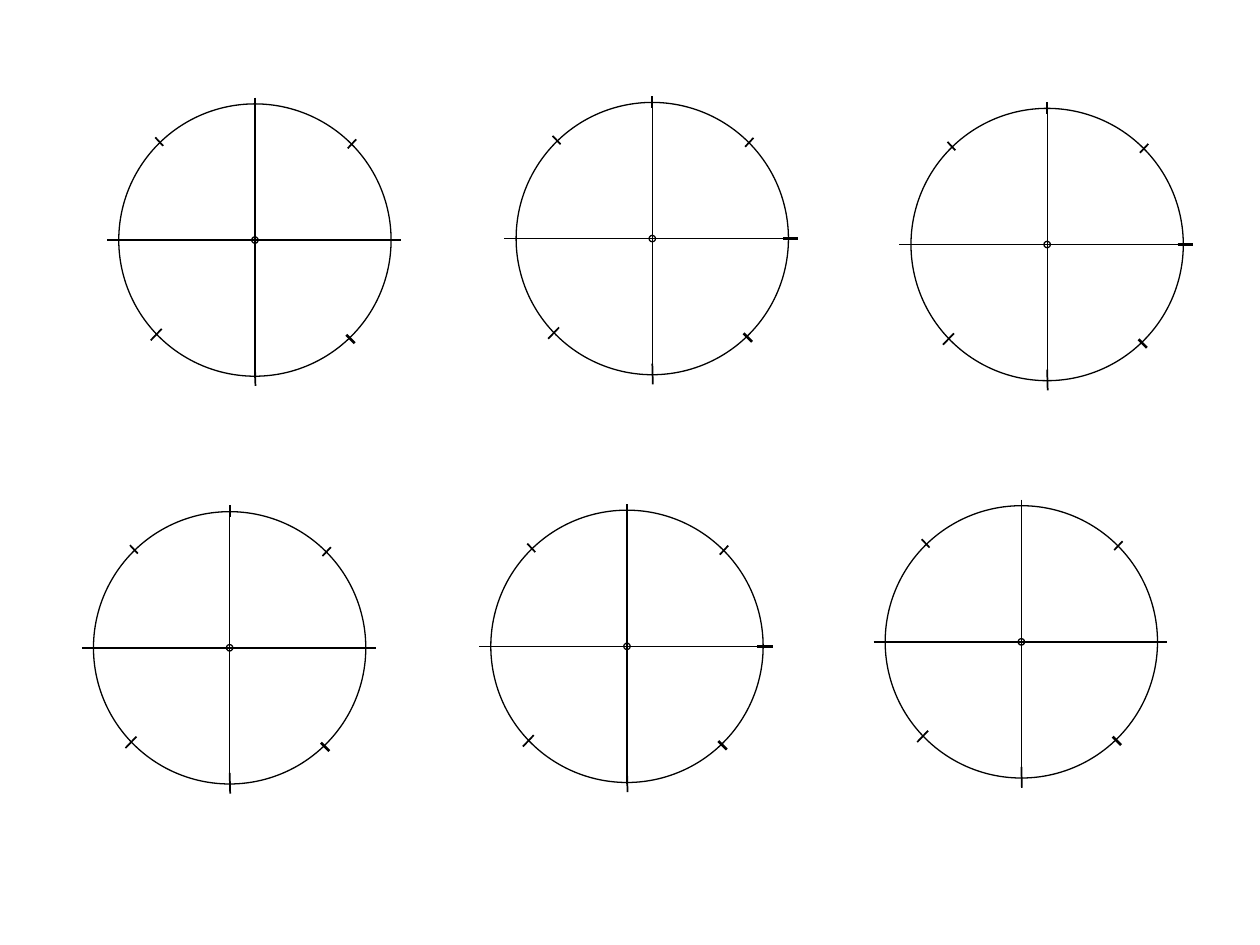
from dataclasses import dataclass
from typing import Any, Optional

from lxml.etree import SubElement
from pptx import Presentation
from pptx.dml.color import RGBColor
from pptx.enum.shapes import MSO_CONNECTOR as Conn, MSO_SHAPE as Form
from pptx.oxml.ns import qn
from pptx.util import Cm, Pt

BLACK = RGBColor(0x00, 0x00, 0x00)
PALE = RGBColor(0xF8, 0xF8, 0xF8)


@dataclass(frozen=True)
class Stroke:
    """A line in cm, measured from the centre of its dial."""
    x1: float
    y1: float
    x2: float
    y2: float
    width: float = 1


@dataclass(frozen=True)
class Disc:
    """A circle around the centre of its dial, in cm."""
    size: float
    fill: Optional[RGBColor] = None


# Dial parts, from back to front
DISCS = [Disc(5.49), Disc(0.13, PALE)]
STROKES = [
    Stroke(0, -2.87, 0, -2.64),              # top
    Stroke(1.87, -1.85, 2.04, -2.03),        # upper right
    Stroke(2.63, 0, 2.94, 0, 1.5),           # right
    Stroke(-1.85, -1.9, -2.01, -2.07),       # upper left
    Stroke(-2.98, 0, -2.66, 0),              # left
    Stroke(1.84, 1.91, 2.01, 2.08, 1.5),     # lower right
    Stroke(0, 2.52, 0.01, 2.94),             # bottom
    Stroke(-1.88, 1.79, -2.1, 2.02),         # lower left
    Stroke(0, -2.76, 0, 2.78, 0.75),         # upright axis
    Stroke(-2.74, 0, 2.75, 0, 0.75),         # level axis
]

# Dial centres in cm, row by row
DIALS = [
    (5.14, 4.84), (13.15, 4.81), (21.11, 4.93),
    (4.63, 13.06), (12.64, 13.03), (20.59, 12.94),
]


def ink(line: Any, width: float) -> None:
    line.color.rgb = BLACK
    for name, value in {"width": Pt(width)}.items():
        setattr(line, name, value)


def add_disc(group: Any, x: float, y: float, disc: Disc) -> None:
    half = disc.size / 2
    ring = group.shapes.add_shape(
        Form.OVAL, Cm(x - half), Cm(y - half), Cm(disc.size), Cm(disc.size))
    ring.shadow.inherit = False
    ink(ring.line, 0.75)
    if disc.fill is None:
        ring.fill.background()
        return
    ring.fill.solid()
    ring.fill.fore_color.rgb = disc.fill
    # Half transparent
    tint = ring.fill._xPr.find(qn("a:solidFill"))[0]
    SubElement(tint, qn("a:alpha"), val="50000")


def add_stroke(group: Any, x: float, y: float, stroke: Stroke) -> None:
    link = group.shapes.add_connector(
        Conn.STRAIGHT, Cm(x + stroke.x1), Cm(y + stroke.y1),
        Cm(x + stroke.x2), Cm(y + stroke.y2))
    ink(link.line, stroke.width)
    SubElement(link._element.spPr, qn("a:effectLst"))


def add_dial(slide: Any, x: float, y: float) -> None:
    group = slide.shapes.add_group_shape()
    for disc in DISCS:
        add_disc(group, x, y, disc)
    for stroke in STROKES:
        add_stroke(group, x, y, stroke)


def main() -> None:
    deck = Presentation()
    size = {"slide_width": Cm(25.4), "slide_height": Cm(19.05)}
    for name, value in size.items():
        setattr(deck, name, value)
    slide = deck.slides.add_slide(deck.slide_layouts[6])
    for x, y in DIALS:
        add_dial(slide, x, y)
    deck.save("out.pptx")


if __name__ == "__main__":
    main()
